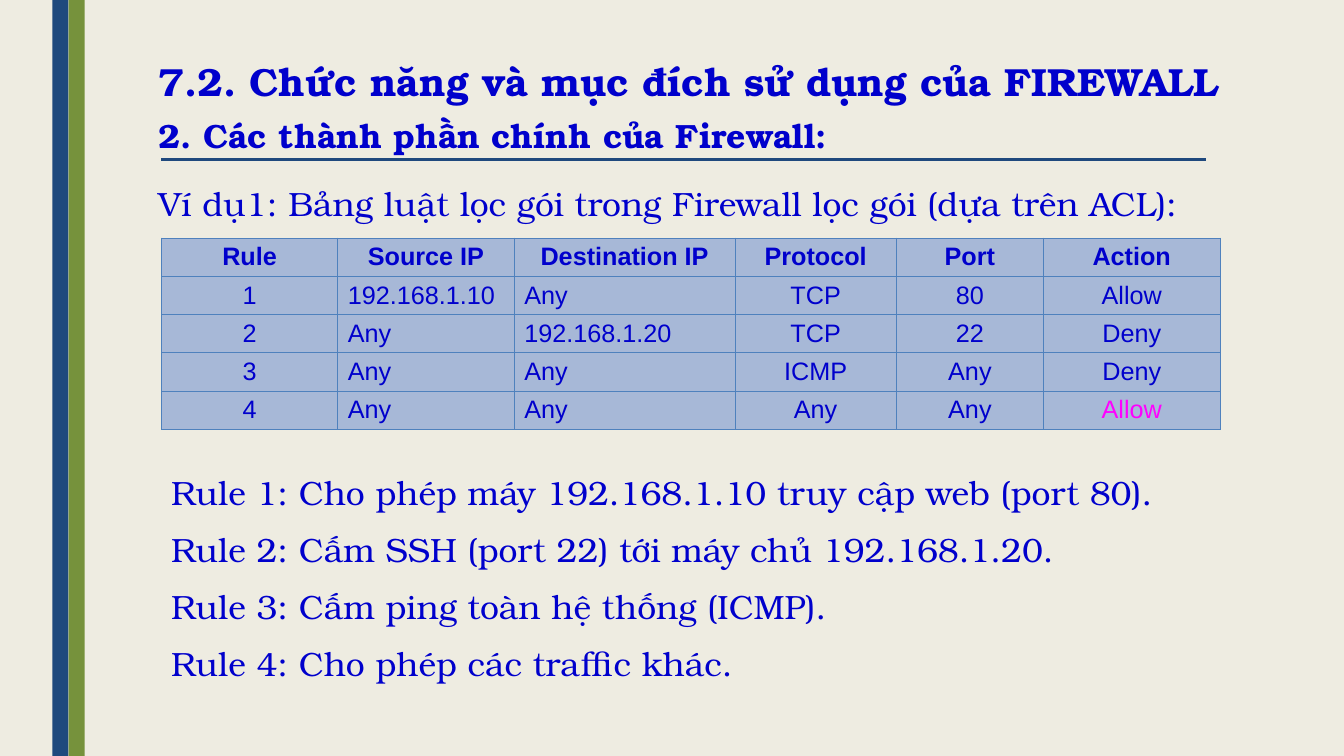
from lxml.etree import SubElement
from pptx import Presentation
from pptx.dml.color import RGBColor
from pptx.enum.shapes import MSO_CONNECTOR, MSO_SHAPE
from pptx.enum.text import MSO_ANCHOR, PP_ALIGN
from pptx.oxml.ns import qn
from pptx.util import Inches, Pt

SERIF, NAVY, BLUE = "TeX Gyre Bonum", "1F497D", "0000CC"


def rgb(value):
    return RGBColor.from_string(value)


def write(p, text, size, color=BLUE, bold=False, name=SERIF, **layout):
    for key, value in layout.items():
        setattr(p, key, value)
    r = p.add_run()
    r.text = text
    for key, value in {"name": name, "size": Pt(size), "bold": bold}.items():
        setattr(r.font, key, value)
    r.font.color.rgb = rgb(color)


prs = Presentation()
prs.slide_width, prs.slide_height = Inches(13.33), Inches(7.5)
s = prs.slides.add_slide(prs.slide_layouts[5])
s.background.fill.solid()
s.background.fill.fore_color.rgb = rgb("EEECE1")

stripe = 0.16
for i, color in enumerate([NAVY, "76923C"]):
    sp = s.shapes.add_shape(MSO_SHAPE.RECTANGLE, Inches(0.52 + i * stripe), 0,
                            Inches(stripe), prs.slide_height)
    sp.shadow.inherit = False
    sp.fill.solid()
    sp.fill.fore_color.rgb = rgb(color)
    sp.line.fill.background()

rule = s.shapes.add_connector(MSO_CONNECTOR.STRAIGHT, Inches(1.6), Inches(1.58),
                              Inches(11.96), Inches(1.58))
rule.line.color.rgb = rgb(NAVY)
rule.line.width = Pt(2.25)
SubElement(rule._element.spPr, qn("a:effectLst"))

title = s.shapes.title
intro = s.shapes.add_textbox(0, 0, 0, 0)
notes = s.shapes.add_textbox(0, 0, 0, 0)
boxes = [
    (title, (1.47, 0.54, 11.2, 0.58), MSO_ANCHOR.MIDDLE),
    (intro, (1.47, 1.12, 11.2, 1.2), MSO_ANCHOR.TOP),
    (notes, (1.6, 4.63, 10.5, 2.22), MSO_ANCHOR.TOP),
]
for sp, place, anchor in boxes:
    sp.left, sp.top, sp.width, sp.height = map(Inches, place)
    sp.text_frame.word_wrap = True
    sp.text_frame.vertical_anchor = anchor

write(title.text_frame.paragraphs[0], "7.2. Chức năng và mục đích sử dụng của FIREWALL",
      28, bold=True, alignment=PP_ALIGN.LEFT, line_spacing=0.89)
tf = intro.text_frame
write(tf.paragraphs[0], "2. Các thành phần chính của Firewall:", 24, bold=True,
      line_spacing=0.94, space_after=Pt(2))
write(tf.add_paragraph(), "Ví dụ1: Bảng luật lọc gói trong Firewall lọc gói (dựa trên ACL):",
      24, alignment=PP_ALIGN.JUSTIFY, line_spacing=1.2, space_before=Pt(12), space_after=Pt(6))

rows = [
    ["Rule", "Source IP", "Destination IP", "Protocol", "Port", "Action"],
    ["1", "192.168.1.10", "Any", "TCP", "80", "Allow"],
    ["2", "Any", "192.168.1.20", "TCP", "22", "Deny"],
    ["3", "Any", "Any", "ICMP", "Any", "Deny"],
    ["4", "Any", "Any", "Any", "Any", "Allow"],
]
widths = [1.75, 1.75, 2.19, 1.6, 1.46, 1.75]
row_height = 0.38
table = s.shapes.add_table(len(rows), len(widths), Inches(1.6), Inches(2.36),
                           Inches(sum(widths)), Inches(row_height * len(rows))).table
for column, width in zip(table.columns, widths):
    column.width = Inches(width)
for i, row in enumerate(rows):
    table.rows[i].height = Inches(row_height)
    for j, text in enumerate(row):
        cell = table.cell(i, j)
        cell.vertical_anchor = MSO_ANCHOR.MIDDLE
        cell.margin_top = cell.margin_bottom = 0
        for side in ("lnL", "lnR", "lnT", "lnB"):
            ln = SubElement(cell._tc.get_or_add_tcPr(), qn(f"a:{side}"), w=str(Pt(0.5)))
            SubElement(SubElement(ln, qn("a:solidFill")), qn("a:srgbClr"), val="4F81BD")
        cell.fill.solid()
        cell.fill.fore_color.rgb = rgb("A7B8D7")
        left = i > 0 and j in (1, 2)
        last = (i, j) == (len(rows) - 1, len(widths) - 1)
        write(cell.text_frame.paragraphs[0], text, 18, "FF00FF" if last else BLUE,
              bold=i == 0, name="Arial", space_after=Pt(2),
              alignment=PP_ALIGN.LEFT if left else PP_ALIGN.CENTER)

rules = [
    "Cho phép máy 192.168.1.10 truy cập web (port 80).",
    "Cấm SSH (port 22) tới máy chủ 192.168.1.20.",
    "Cấm ping toàn hệ thống (ICMP).",
    "Cho phép các traffic khác.",
]
tf = notes.text_frame
for i, text in enumerate(rules):
    p = tf.add_paragraph() if i else tf.paragraphs[0]
    write(p, f"Rule {i + 1}: {text}", 24, space_before=Pt(6 if i else 0), space_after=Pt(6))

prs.save("out.pptx")
